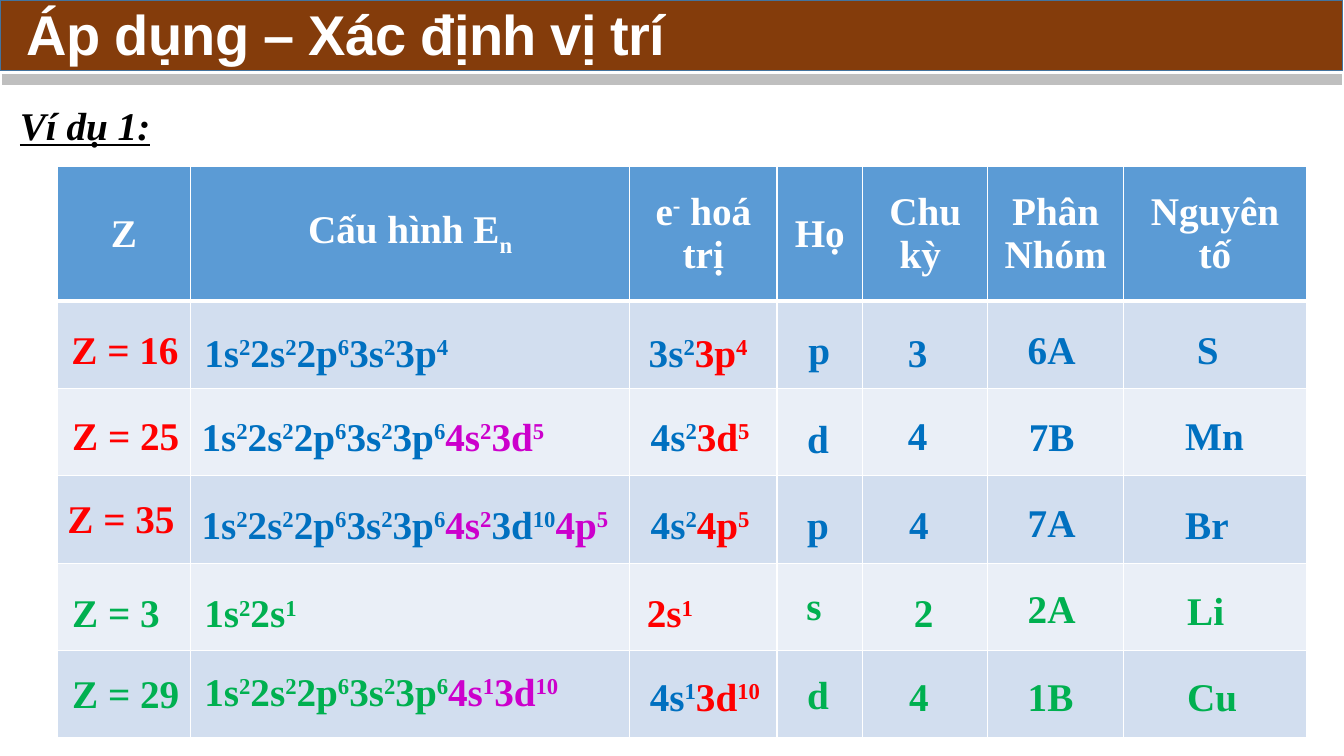
from itertools import accumulate

from lxml import etree
from pptx import Presentation
from pptx.dml.color import RGBColor
from pptx.enum import shapes, text
from pptx.oxml import ns
from pptx.util import Cm, Pt

WHITE = RGBColor(0xFF, 0xFF, 0xFF)
BLACK = RGBColor(0, 0, 0)
BROWN = RGBColor(0x84, 0x3C, 0x0B)
STEEL = RGBColor(0x43, 0x73, 0x9E)
GREY = RGBColor(0xBF, 0xBF, 0xBF)
HEAD_BLUE = RGBColor(0x5B, 0x9B, 0xD5)
BANDS = [RGBColor(0xD2, 0xDE, 0xEF), RGBColor(0xEA, 0xEF, 0xF7)]
RED = RGBColor(0xFF, 0, 0)
BLUE = RGBColor(0, 0x70, 0xC0)
GREEN = RGBColor(0, 0xB0, 0x50)
PURPLE = RGBColor(0xCC, 0, 0xCC)

SERIF = "Times New Roman"
BASELINES = {"^": "30000", "_": "-25000"}
COLUMN_WIDTHS = [3.35, 11.07, 3.71, 2.16, 3.15, 3.43, 4.6]
HEAD_HEIGHT, ROW_HEIGHT = 3.4, 2.2
HEADINGS = ["Z", "Cấu hình E|_n", "e|^-| hoá trị", "Họ", "Chu kỳ ",
            "Phân Nhóm", "Nguyên tố"]
CORE = "1s|^2|2s|^2|2p|^6|3s|^2|3p|^6"

# Each entry: offset in its cell, box width, coloured pieces.
ELEMENTS = [
    [(0.1, 0.49, 3.28, [("Z = 16", RED)]),
     (0.1, 0.56, 8.13, [("1s|^2|2s|^2|2p|^6|3s|^2|3p|^4", BLUE)]),
     (0.23, 0.56, 3.23, [("3s|^2", BLUE), ("3p|^4", RED)]),
     (0.54, 0.49, 1.07, [("p", BLUE)]),
     (0.89, 0.56, 1.02, [("3", BLUE)]),
     (0.76, 0.49, 2.41, [("6A", BLUE)]),
     (1.22, 0.49, 1.8, [("S", BLUE)])],
    [(0.12, 0.45, 3.48, [("Z = 25", RED)]),
     (0.03, 0.47, 9.6, [(CORE, BLUE), ("4s|^2|3d|^5", PURPLE)]),
     (0.28, 0.47, 3.2, [("4s|^2", BLUE), ("3d|^5", RED)]),
     (0.51, 0.52, 1.07, [("d", BLUE)]),
     (0.89, 0.45, 1.02, [("4", BLUE)]),
     (0.79, 0.47, 1.7, [("7B", BLUE)]),
     (1.3, 0.45, 2.05, [("Mn", BLUE)])],
    [(0, 0.35, 3.63, [("Z = 35", RED)]),
     (0.03, 0.48, 11.3, [(CORE, BLUE), ("4s|^2", PURPLE), ("3d|^10", BLUE),
                         ("4p|^5", PURPLE)]),
     (0.28, 0.48, 3.2, [("4s|^2", BLUE), ("4p|^5", RED)]),
     (0.51, 0.48, 1.07, [("p", BLUE)]),
     (0.92, 0.48, 1.02, [("4", BLUE)]),
     (0.76, 0.43, 1.75, [("7A", BLUE)]),
     (1.3, 0.48, 1.65, [("Br", BLUE)])],
    [(0.12, 0.52, 3.23, [("Z = 3", GREEN)]),
     (0.1, 0.52, 3.84, [("1s|^2|2s|^1", GREEN)]),
     (0.18, 0.52, 1.98, [("2s|^1", RED)]),
     (0.49, 0.34, 0.95, [("s", GREEN)]),
     (1.04, 0.52, 1.02, [("2", GREEN)]),
     (0.76, 0.42, 1.9, [("2A", GREEN)]),
     (1.35, 0.47, 1.83, [("Li", GREEN)])],
    [(0.12, 0.35, 3.3, [("Z = 29", GREEN)]),
     (0.1, 0.3, 9.95, [(CORE, GREEN), ("4s|^1|3d|^10", PURPLE)]),
     (0.18, 0.42, 3.43, [("4s|^1", BLUE), ("3d|^10", RED)]),
     (0.51, 0.37, 1.07, [("d", GREEN)]),
     (0.92, 0.42, 1.02, [("4", GREEN)]),
     (0.76, 0.42, 1.7, [("1B", GREEN)]),
     (1.35, 0.42, 1.83, [("Cu", GREEN)])],
]
CENTRED = {(0, 6), (4, 2)}


def style(span, color, size=28, name=SERIF):
    span.font.size = Pt(size)
    span.font.name = name
    span.font.bold = True
    span.font.color.rgb = color


def write_formula(para, pieces):
    for formula, color in pieces:
        for part in formula.split("|"):
            span = para.add_run()
            span.text = part.lstrip("^_")
            style(span, color)
            if part[0] in BASELINES:
                span.font._rPr.set("baseline", BASELINES[part[0]])


def add_text_box(page, left, top, width, height):
    box = page.shapes.add_textbox(Cm(left), Cm(top), Cm(width), Cm(height))
    box.text_frame.word_wrap = True
    return box


def set_borders(cell, bottom):
    properties = cell._tc.get_or_add_tcPr()
    for index, side in enumerate(("lnL", "lnR", "lnT", "lnB")):
        width = bottom if side == "lnB" else 1
        line = etree.Element(ns.qn(f"a:{side}"), w=str(Pt(width)))
        fill = etree.SubElement(line, ns.qn("a:solidFill"))
        etree.SubElement(fill, ns.qn("a:srgbClr"), val=str(WHITE))
        properties.insert(index, line)


def add_banner(page, left, top, width, height):
    rule = page.shapes.add_connector(
        shapes.MSO_CONNECTOR.STRAIGHT, Cm(left + 0.05), Cm(top + height + 0.23),
        Cm(left + width), Cm(top + height + 0.23))
    rule.line.color.rgb = GREY
    rule.line.width = Pt(8)
    etree.SubElement(rule._element.spPr, ns.qn("a:effectLst"))

    band = page.shapes.add_shape(shapes.MSO_SHAPE.RECTANGLE, Cm(left), Cm(top),
                                 Cm(width), Cm(height))
    band.shadow.inherit = False
    band.fill.solid()
    band.fill.fore_color.rgb = BROWN
    band.line.color.rgb = STEEL
    band.line.width = Pt(1)

    title = add_text_box(page, left + 0.43, top + 0.15, width - 0.88, 1.63)
    title.text_frame.vertical_anchor = text.MSO_ANCHOR.MIDDLE
    para = title.text_frame.paragraphs[0]
    para.text = "Áp dụng – Xác định vị trí"
    para.line_spacing = 0.85
    style(para.runs[0], WHITE, 40, "Arial")
    para.runs[0].font._rPr.set("spc", "-50")


def add_example_label(page, left, top, width, height):
    label = add_text_box(page, left, top, width, height)
    para = label.text_frame.paragraphs[0]
    para.text = "Ví dụ 1:"
    style(para.runs[0], BLACK)
    para.runs[0].font.italic = True
    para.runs[0].font.underline = True


def add_grid(page, left, top, width, height):
    grid = page.shapes.add_table(len(ELEMENTS) + 1, len(HEADINGS), Cm(left),
                                 Cm(top), Cm(width), Cm(height)).table
    for column, column_width in zip(grid.columns, COLUMN_WIDTHS):
        column.width = Cm(column_width)
    for index, row in enumerate(grid.rows):
        row.height = Cm(ROW_HEIGHT if index else HEAD_HEIGHT)
        for cell in row.cells:
            cell.fill.solid()
            cell.fill.fore_color.rgb = BANDS[(index - 1) % 2] if index else HEAD_BLUE
            set_borders(cell, 1 if index else 3)
    for cell, heading in zip(grid.rows[0].cells, HEADINGS):
        cell.vertical_anchor = text.MSO_ANCHOR.MIDDLE
        para = cell.text_frame.paragraphs[0]
        para.alignment = text.PP_ALIGN.CENTER
        write_formula(para, [(heading, WHITE)])


def add_answers(page, left, top):
    column_lefts = list(accumulate(COLUMN_WIDTHS[:-1], initial=left))
    for row, entries in enumerate(ELEMENTS):
        row_top = top + HEAD_HEIGHT + row * ROW_HEIGHT
        for column, (dx, dy, width, pieces) in enumerate(entries):
            box = add_text_box(page, column_lefts[column] + dx, row_top + dy,
                               width, 1.45)
            box.text_frame.margin_right = 0
            para = box.text_frame.paragraphs[0]
            if (row, column) in CENTRED:
                box.text_frame.margin_right = Cm(0.25)
                para.alignment = text.PP_ALIGN.CENTER
            write_formula(para, pieces)


def main():
    deck = Presentation()
    deck.slide_width, deck.slide_height = Cm(33.87), Cm(19.05)
    page = deck.slides.add_slide(deck.slide_layouts[6])
    add_banner(page, 0, 0, 33.83, 1.78)
    add_example_label(page, 0.25, 2.44, 3.95, 1.45)
    add_grid(page, 1.45, 4.19, sum(COLUMN_WIDTHS),
             HEAD_HEIGHT + ROW_HEIGHT * len(ELEMENTS))
    add_answers(page, 1.45, 4.19)
    deck.save("out.pptx")


if __name__ == "__main__":
    main()
